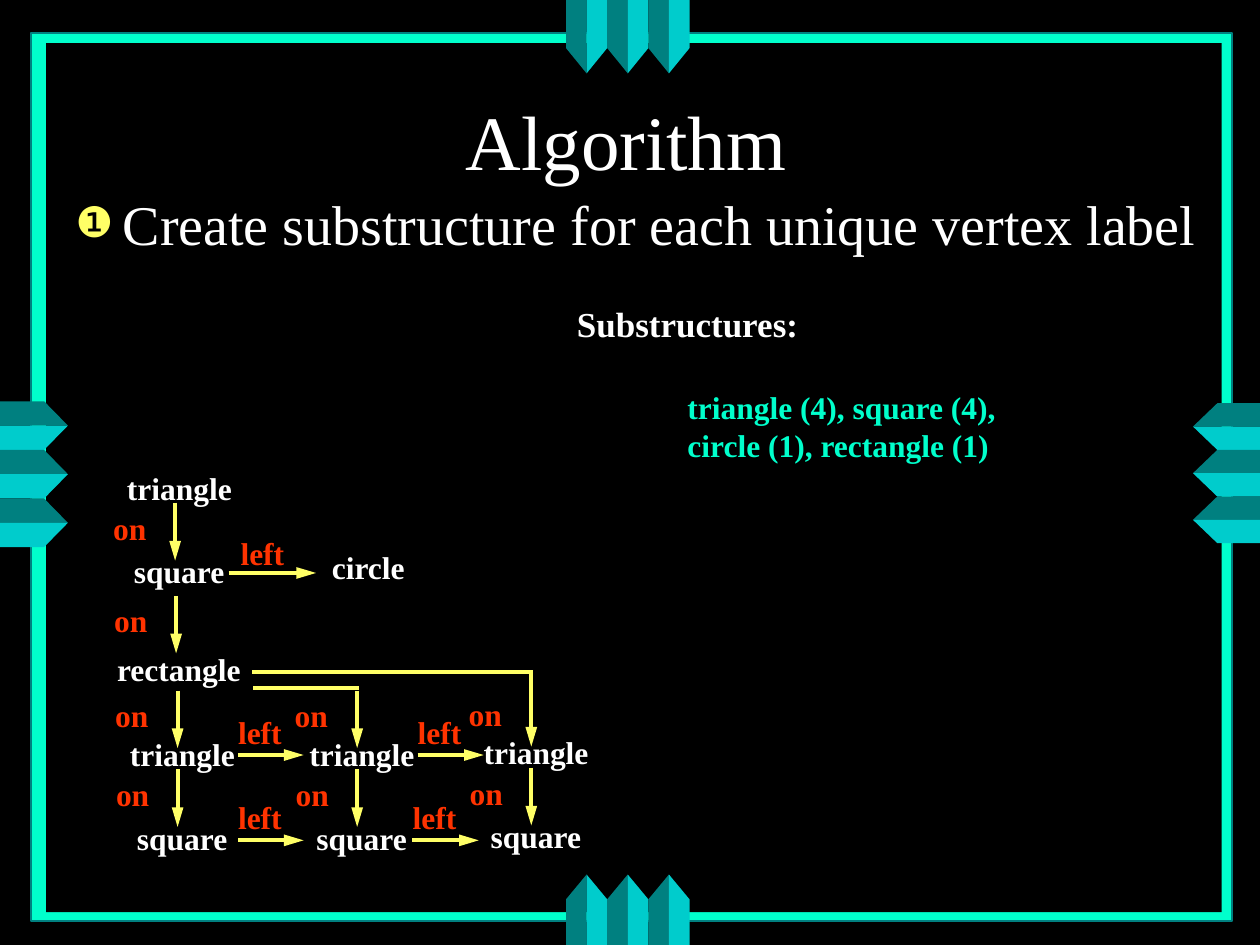
import pptx
import pptx.dml.color
import pptx.enum.shapes
import pptx.enum.text
import pptx.oxml
import pptx.oxml.ns
import pptx.util
from pptx.util import Cm

FONT = "Times New Roman"
WHITE, BLACK, YELLOW, RED = "FFFFFF", "000000", "FFFF66", "FF3300"
MINT, TEAL, CYAN = "00FFCC", "008080", "00CCCC"

# All lengths below are in centimetres.
TITLE = ("Algorithm", (1.83, 0.69, 21.59, 3.18))
STEP = ("Create substructure for each unique vertex label", (1.27, 3.7, 23.24, 2.08))

# Ribbons: axis, first tooth, tooth pitch, then edge, shoulder and tip across it
RIBBONS = [
    ("vertical", 8.09, 0.49, (0, 0.89, 1.37)),
    ("horizontal", 11.41, 0.415, (0, 0.97, 1.48)),
    ("horizontal", 11.41, 0.415, (19.05, 18.13, 17.63)),
    ("vertical", 8.13, 0.47, (25.4, 24.54, 24.05)),
]
TEETH = 6

LABEL_WIDTHS = {"triangle": 2.62, "square": 2.34, "circle": 1.98,
                "rectangle": 3.0, "on": 1.17, "left": 1.42}
EDGE_LABELS = ("on", "left")

# Upper part of the graph and the labels between columns: label, left, top
LABELS = [
    ("triangle", 2.31, 9.34), ("on", 2.03, 10.13), ("square", 2.45, 11.0),
    ("left", 4.6, 10.64), ("circle", 6.44, 10.92),
    ("on", 2.05, 11.99), ("rectangle", 2.11, 12.98),
    ("left", 4.55, 14.25), ("left", 8.17, 14.25),
    ("left", 4.55, 15.96), ("left", 8.07, 15.96),
]
ARROWS = [
    (3.53, 10.13, 3.53, 11.3), (3.55, 12.01, 3.55, 13.17),
    (4.61, 11.55, 6.37, 11.55),
    (4.8, 15.22, 6.12, 15.22), (8.42, 15.22, 9.75, 15.22),
    (4.8, 16.94, 6.12, 16.94), (8.31, 16.94, 9.65, 16.94),
]
BRANCHES = [(5.11, 13.87, 7.24, 13.87), (5.08, 13.54, 10.74, 13.54)]

# Three columns under the rectangle: x, vertical shift, start of top arrow
COLUMNS = [(3.58, 0, 13.92), (7.2, 0, 13.92), (10.71, -0.03, 13.56)]
COLUMN_LABELS = [("on", -1.51, 13.91), ("triangle", -1.21, 14.69),
                 ("on", -1.49, 15.5), ("square", -1.07, 16.38)]

HEADING = (["Substructures:"], (11.38, 5.97, 4.98, 1.12), 20, WHITE)
COUNTS = (["triangle (4), square (4),", "circle (1), rectangle (1)"],
          (13.61, 7.7, 6.73, 1.78), 18, MINT)


def color(value):
    return pptx.dml.color.RGBColor.from_string(value)


def paint(shape, fill, line=None):
    shape.shadow.inherit = False
    shape.fill.solid()
    shape.fill.fore_color.rgb = color(fill)
    if line:
        shape.line.color.rgb = color(line)
        shape.line.width = pptx.util.Pt(1)
    else:
        shape.line.fill.background()


def add_panel(slide, box, fill, line=None):
    shape = slide.shapes.add_shape(pptx.enum.shapes.MSO_SHAPE.RECTANGLE, *map(Cm, box))
    paint(shape, fill, line)


def add_ribbon(slide, axis, first, pitch, depths):
    """Draw a row of folded teeth, alternately dark and light."""
    edge, shoulder, tip = depths
    for index in range(TEETH):
        start = first + index * pitch
        end = start + pitch
        dark = index % 2 == 0
        outer, inner = (start, end) if dark else (end, start)
        points = [(outer, edge), (outer, shoulder), (inner, tip), (inner, edge)]
        if axis == "vertical":
            points = [(across, along) for along, across in points]
        points = [(Cm(x), Cm(y)) for x, y in points]
        builder = slide.shapes.build_freeform(*points[0])
        builder.add_line_segments(points[1:], close=True)
        paint(builder.convert_to_shape(), TEAL if dark else CYAN)


def add_run(paragraph, text, size, fill, bold=False):
    run = paragraph.add_run()
    run.text = text
    run.font.name = FONT
    run.font.size = pptx.util.Pt(size)
    run.font.bold = bold
    run.font.color.rgb = color(fill)


def add_text(slide, lines, box, size, fill):
    frame = slide.shapes.add_textbox(*map(Cm, box)).text_frame
    frame.word_wrap = False
    frame.auto_size = pptx.enum.text.MSO_AUTO_SIZE.SHAPE_TO_FIT_TEXT
    for index, line in enumerate(lines):
        paragraph = frame.add_paragraph() if index else frame.paragraphs[0]
        add_run(paragraph, line, size, fill, bold=True)


def add_label(slide, text, left, top):
    fill = RED if text in EDGE_LABELS else WHITE
    add_text(slide, [text], (left, top, LABEL_WIDTHS[text], 1.02), 18, fill)


def add_xml(parent, tag, **attributes):
    element = pptx.oxml.parse_xml(f"<a:{tag} {pptx.oxml.ns.nsdecls('a')}/>")
    for name, value in attributes.items():
        element.set(name, value)
    parent.append(element)
    return element


def add_line(slide, ends, arrow=False):
    connector = slide.shapes.add_connector(
        pptx.enum.shapes.MSO_CONNECTOR.STRAIGHT, *map(Cm, ends))
    connector.line.color.rgb = color(YELLOW)
    connector.line.width = pptx.util.Pt(2.25)
    properties = connector.element.spPr
    if arrow:
        outline = properties.find(pptx.oxml.ns.qn("a:ln"))
        add_xml(outline, "tailEnd", type="triangle", w="med", len="lg")
    add_xml(properties, "effectLst")


def fill_placeholder(shape, content, size, anchor):
    """Place the placeholder in front of the frame and return its paragraph."""
    text, box = content
    shape.element.getparent().append(shape.element)
    shape.left, shape.top, shape.width, shape.height = map(Cm, box)
    frame = shape.text_frame
    frame.auto_size = pptx.enum.text.MSO_AUTO_SIZE.NONE
    frame.vertical_anchor = anchor
    paragraph = frame.paragraphs[0]
    add_run(paragraph, text, size, WHITE)
    return paragraph


def set_bullet(paragraph, character):
    paragraph.space_before = pptx.util.Pt(8)
    properties = paragraph._p.get_or_add_pPr()
    properties.set("marL", str(Cm(0.95)))
    properties.set("indent", str(Cm(-0.95)))
    add_xml(add_xml(properties, "buClr"), "srgbClr", val=YELLOW)
    add_xml(properties, "buSzPct", val="75000")
    add_xml(properties, "buChar", char=character)


def main():
    presentation = pptx.Presentation()
    presentation.slide_width, presentation.slide_height = Cm(25.4), Cm(19.05)
    slide = presentation.slides.add_slide(presentation.slide_layouts[1])
    slide.background.fill.solid()
    slide.background.fill.fore_color.rgb = color(BLACK)

    add_panel(slide, (0.63, 0.66, 24.21, 17.91), MINT, TEAL)
    add_panel(slide, (0.93, 0.87, 23.7, 17.52), BLACK)
    for ribbon in RIBBONS:
        add_ribbon(slide, *ribbon)

    anchors = pptx.enum.text.MSO_ANCHOR
    title = fill_placeholder(slide.shapes.title, TITLE, 44, anchors.BOTTOM)
    title.alignment = pptx.enum.text.PP_ALIGN.CENTER
    step = fill_placeholder(slide.placeholders[1], STEP, 32, anchors.TOP)
    set_bullet(step, "❶")

    for label in LABELS:
        add_label(slide, *label)
    for ends in ARROWS:
        add_line(slide, ends, arrow=True)
    for x, shift, start in COLUMNS:
        for text, offset, top in COLUMN_LABELS:
            add_label(slide, text, x + offset, top + shift)
        add_line(slide, (x, start, x, 15.08 + shift), arrow=True)
        add_line(slide, (x, 15.51 + shift, x, 16.67 + shift), arrow=True)
    for ends in BRANCHES:
        add_line(slide, ends)

    add_text(slide, *HEADING)
    add_text(slide, *COUNTS)
    presentation.save("out.pptx")


if __name__ == "__main__":
    main()
